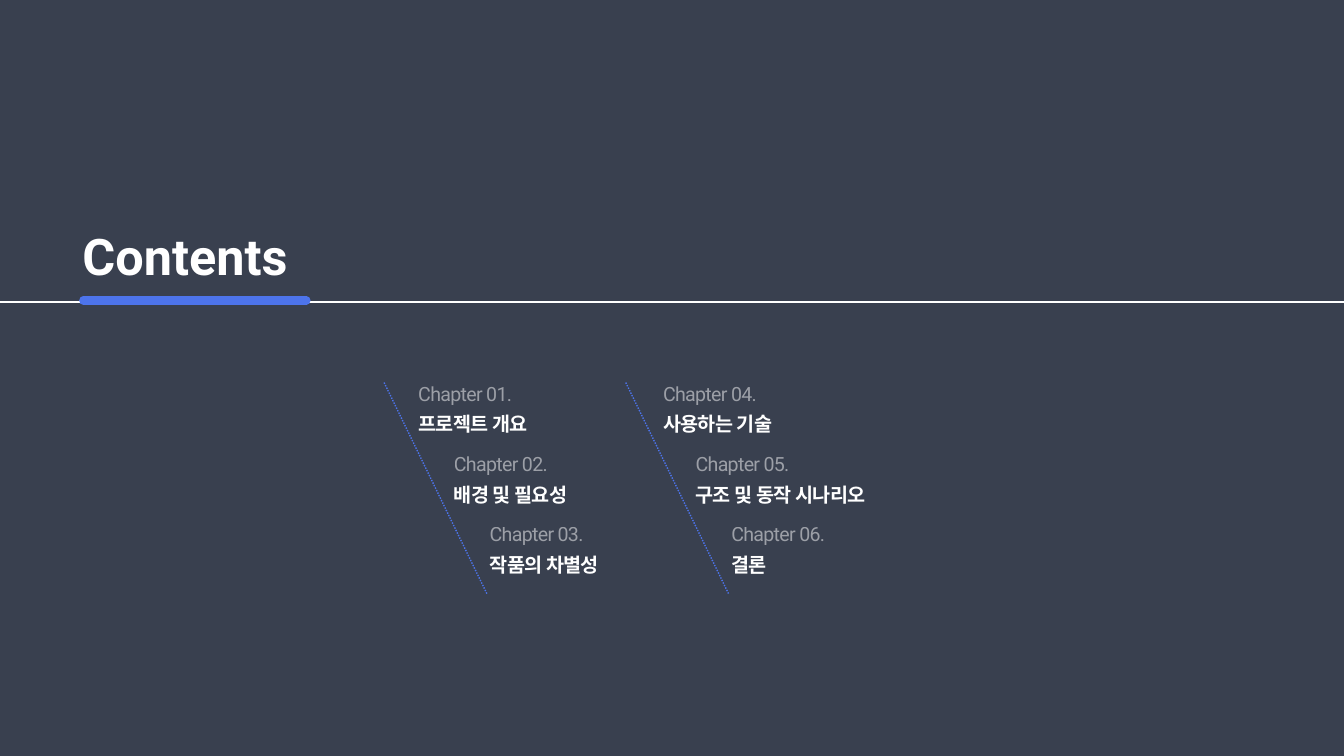
from dataclasses import dataclass

from lxml.etree import SubElement
from pptx import Presentation
from pptx.dml.color import RGBColor
from pptx.enum.dml import MSO_LINE
from pptx.enum.shapes import MSO_CONNECTOR
from pptx.enum.text import MSO_ANCHOR, PP_ALIGN
from pptx.oxml.ns import qn
from pptx.util import Cm, Pt


@dataclass(frozen=True)
class Theme:
    background: RGBColor = RGBColor(0x39, 0x40, 0x4F)
    text: RGBColor = RGBColor(0xFF, 0xFF, 0xFF)
    accent: RGBColor = RGBColor(0x4D, 0x74, 0xEB)
    font: str = "Roboto"
    title_size: Pt = Pt(36)
    chapter_size: Pt = Pt(14)
    label_alpha: int = 50


THEME = Theme()
SLIDE_WIDTH, SLIDE_HEIGHT = 33.87, 19.05

# Left, top, width, height of each region, in centimetres
TITLE_BOX = (2.1, 5.87, 5.62, 1.75)
COLUMNS = [
    # Box, indent of the first chapter, chapter names
    ((9.68, 9.64, 2.59, 5.32), 0.86, ["프로젝트 개요", "배경 및 필요성", "작품의 차별성"]),
    ((15.77, 9.64, 2.59, 5.32), 0.94, ["사용하는 기술", "구조 및 동작 시나리오", "결론"]),
]
CHAPTER_INDENT = 0.86
CHAPTER_STEP = (0.9, 1.77)
CHAPTER_SIZE = (4.8, 1.5)


def add_line(slide, start, end, color, width):
    line = slide.shapes.add_connector(
        MSO_CONNECTOR.STRAIGHT, *(Cm(value) for value in (*start, *end)))
    line.line.color.rgb = color
    line.line.width = Pt(width)
    SubElement(line._element.spPr, qn("a:effectLst"))
    return line


def add_text(slide, box, lines):
    shape = slide.shapes.add_textbox(*(Cm(value) for value in box))
    text_frame = shape.text_frame
    text_frame.word_wrap = False
    text_frame.margin_left = text_frame.margin_right = 0
    text_frame.margin_top = text_frame.margin_bottom = 0
    text_frame.text = "\n".join(lines)
    for paragraph in text_frame.paragraphs:
        paragraph.alignment = PP_ALIGN.LEFT
    return text_frame


def format_run(run, size, bold, alpha=None, spacing=None):
    font = run.font
    font.size, font.bold, font.name = size, bold, THEME.font
    font.color.rgb = THEME.text
    properties = run._r.get_or_add_rPr()
    SubElement(properties, qn("a:ea"), typeface=THEME.font)
    if spacing is not None:
        properties.set("spc", str(int(spacing * 100)))
    if alpha is not None:
        color = properties.find(qn("a:solidFill"))[0]
        SubElement(color, qn("a:alpha"), val=str(alpha * 1000))


def add_title(slide, box):
    left, top, width, height = box
    # Full-width rule and its rounded accent
    add_line(slide, (SLIDE_WIDTH, top + height), (0, top + height), THEME.text, 1.5)
    accent_top = top + height - 0.05
    accent = add_line(slide, (left + width, accent_top), (left, accent_top),
                      THEME.accent, 6)
    accent.line._get_or_add_ln().set("cap", "rnd")
    # Heading
    text_frame = add_text(slide, (left - 0.02, top, width, 1.12), ["Contents"])
    text_frame.vertical_anchor = MSO_ANCHOR.MIDDLE
    format_run(text_frame.paragraphs[0].runs[0], THEME.title_size, True)


def add_chapter_column(slide, box, first_indent, names, first_number):
    left, top, width, height = box
    # Slanted dotted guide
    guide = add_line(slide, (left, top), (left + width, top + height), THEME.accent, 1)
    guide.line.dash_style = MSO_LINE.ROUND_DOT
    # Chapters stepping down along the guide
    step_x, step_y = CHAPTER_STEP
    for index, name in enumerate(names):
        indent = CHAPTER_INDENT + index * step_x if index else first_indent
        text_frame = add_text(
            slide, (left + indent, top - 0.02 + index * step_y, *CHAPTER_SIZE),
            [f"Chapter {first_number + index:02d}.", name])
        label, heading = text_frame.paragraphs
        label.space_after = heading.space_after = Pt(5)
        format_run(label.runs[0], THEME.chapter_size, False, THEME.label_alpha, -0.5)
        format_run(heading.runs[0], THEME.chapter_size, True, spacing=-0.5)


def main():
    presentation = Presentation()
    presentation.slide_width = Cm(SLIDE_WIDTH)
    presentation.slide_height = Cm(SLIDE_HEIGHT)
    slide = presentation.slides.add_slide(presentation.slide_layouts[6])
    slide.background.fill.solid()
    slide.background.fill.fore_color.rgb = THEME.background

    add_title(slide, TITLE_BOX)
    first_number = 1
    for box, first_indent, names in COLUMNS:
        add_chapter_column(slide, box, first_indent, names, first_number)
        first_number += len(names)

    presentation.save("out.pptx")


if __name__ == "__main__":
    main()
